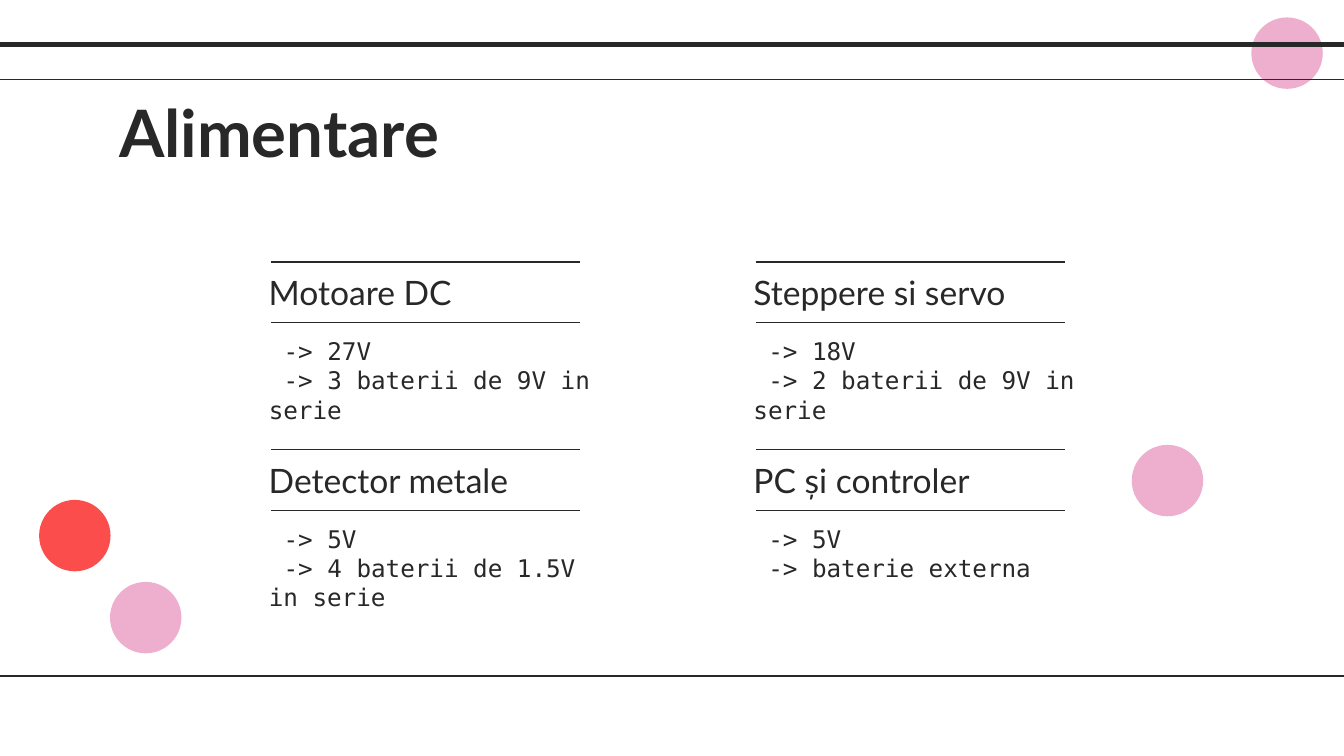
from lxml.etree import SubElement
from pptx import Presentation
from pptx.dml.color import RGBColor
from pptx.enum.shapes import MSO_CONNECTOR as CONN, MSO_SHAPE as SHAPE
from pptx.enum.text import MSO_ANCHOR as ANCHOR, MSO_AUTO_SIZE as AUTOSIZE, PP_ALIGN as ALIGN
from pptx.oxml.ns import qn
from pptx.util import Cm, Pt

INK = RGBColor(0x28, 0x28, 0x28)
RED = RGBColor(0xFA, 0x4D, 0x4C)
PINK = RGBColor(0xEE, 0xAE, 0xCE)
WIDTH, HEIGHT = 25.4, 14.29

SUPPLIES = [
    ("Motoare DC", ["-> 27V", "-> 3 baterii de 9V in serie"]),
    ("Steppere si servo", ["-> 18V", "-> 2 baterii de 9V in serie"]),
    ("Detector metale", ["-> 5V", "-> 4 baterii de 1.5V in serie"]),
    ("PC și controler", ["-> 5V", "-> baterie externa"]),
]


def write(tf, lines, font="Lato", size=18, bold=False, anchor=ANCHOR.TOP, indent=0):
    tf.word_wrap = True
    tf.auto_size = AUTOSIZE.NONE
    tf.vertical_anchor = anchor
    tf.margin_left = tf.margin_right = tf.margin_top = tf.margin_bottom = Cm(0.25)
    for i, line in enumerate(lines):
        p = tf.add_paragraph() if i else tf.paragraphs[0]
        p.alignment = ALIGN.LEFT
        p.space_before = Pt(0)
        p.line_spacing = 1
        pPr = p._p.get_or_add_pPr()
        pPr.set("marL", "0")
        pPr.set("indent", str(Cm(indent)))
        SubElement(pPr, qn("a:buNone"))
        r = p.add_run()
        r.text = line
        r.font.name, r.font.size, r.font.bold = font, Pt(size), bold
        r.font.color.rgb = INK


class SlideBuilder:
    mono = "DejaVu Sans Mono"
    dot_size = 1.35

    def __init__(self, prs):
        self.s = prs.slides.add_slide(prs.slide_layouts.get_by_name("Comparison"))
        self.bodies = [sp for sp in self.s.placeholders if 1 <= sp.placeholder_format.idx <= 4]

    def place(self, sp, x, y, w, h):
        sp.left, sp.top, sp.width, sp.height = Cm(x), Cm(y), Cm(w), Cm(h)
        return sp.text_frame

    def title(self, text, x, y, w, h):
        write(self.place(self.s.shapes.title, x, y, w, h), [text], size=35, bold=True)

    def heading(self, text, x, y, w, h):
        sp = self.s.shapes.add_textbox(Cm(x), Cm(y), Cm(w), Cm(h))
        write(sp.text_frame, [text], anchor=ANCHOR.MIDDLE)

    def items(self, lines, x, y, w, h):
        tf = self.place(self.bodies.pop(0), x, y, w, h)
        write(tf, lines, font=self.mono, size=13, indent=0.28)

    def dot(self, x, y, color):
        sp = self.s.shapes.add_shape(SHAPE.OVAL, Cm(x), Cm(y), Cm(self.dot_size), Cm(self.dot_size))
        sp.shadow.inherit = False
        sp.fill.solid()
        sp.fill.fore_color.rgb = color
        sp.line.fill.background()

    def rule(self, x, y, length, weight=0.75):
        line = self.s.shapes.add_connector(CONN.STRAIGHT, Cm(x), Cm(y), Cm(x + length), Cm(y))
        line.line.color.rgb = INK
        line.line.width = Pt(weight)
        SubElement(line._element.spPr, qn("a:effectLst"))


def main():
    prs = Presentation()
    prs.slide_width, prs.slide_height = Cm(WIDTH), Cm(HEIGHT)
    slide = SlideBuilder(prs)

    for x, y, color in [(0.74, 9.45, RED), (23.65, 0.33, PINK), (2.08, 11, PINK), (21.39, 8.41, PINK)]:
        slide.dot(x, y, color)
    for y, weight in [(0.84, 3), (1.5, 0.75), (12.78, 0.75)]:
        slide.rule(0, y, WIDTH, weight)

    slide.title("Alimentare", 2, 1.5, 21.4, 1.6)
    for i, (name, lines) in enumerate(SUPPLIES):
        row, col = divmod(i, 2)
        x, y = 4.83 + 9.16 * col, 4.95 + 3.55 * row
        slide.heading(name, x, y, 6.6, 1.15)
        slide.items(lines, x, y + 1.16, 6.6, 1.85)
        for rule_y in (y, y + 1.15):
            slide.rule(x + 0.29, rule_y, 5.84)

    prs.save("out.pptx")


if __name__ == "__main__":
    main()
